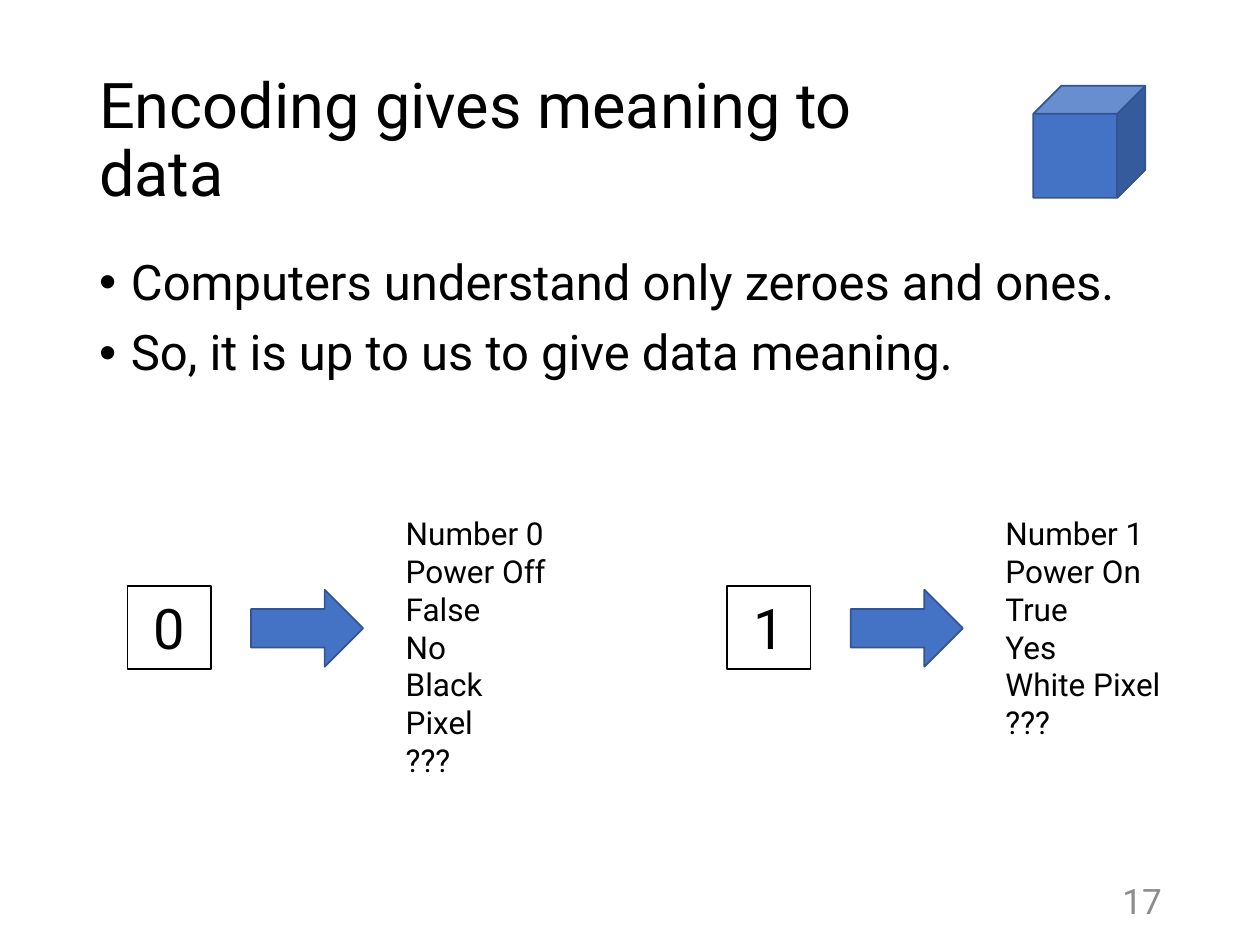
from lxml.etree import SubElement
from pptx import Presentation
from pptx.dml.color import RGBColor
from pptx.enum.shapes import MSO_SHAPE
from pptx.enum.text import MSO_ANCHOR, PP_ALIGN
from pptx.oxml.ns import qn
from pptx.util import Cm, Pt

FONT = "Roboto"
BLACK, WHITE, GRAY = "000000", "FFFFFF", "8C8C8C"
BLUE, DARK_BLUE = "4472C4", "325491"


def color(value):
    return RGBColor.from_string(value)


def write_lines(frame, lines, size, ink=BLACK, align=PP_ALIGN.LEFT, anchor=MSO_ANCHOR.TOP):
    frame.word_wrap = True
    frame.vertical_anchor = anchor
    frame.text = "\n".join(lines)
    for para in frame.paragraphs:
        para.alignment = align
        para.font.name = FONT
        para.font.size = Pt(size)
        para.font.color.rgb = color(ink)
    return frame.paragraphs


def add_text(page, left, top, width, height, lines, size, **style):
    box = page.shapes.add_textbox(Cm(left), Cm(top), Cm(width), Cm(height))
    return write_lines(box.text_frame, lines, size, **style)


def add_figure(page, kind, left, top, width, height, fill=BLUE, line=DARK_BLUE):
    figure = page.shapes.add_shape(kind, Cm(left), Cm(top), Cm(width), Cm(height))
    figure.shadow.inherit = False
    figure.fill.solid()
    figure.fill.fore_color.rgb = color(fill)
    figure.line.color.rgb = color(line)
    figure.line.width = Pt(1)
    return figure


def add_heading(page, left, top, width, height):
    for para in add_text(page, left, top, width, height, ["Encoding gives meaning to data"],
                         36, anchor=MSO_ANCHOR.MIDDLE):
        para.line_spacing = 0.9
    add_figure(page, MSO_SHAPE.CUBE, left + 19.08, top + 0.71, 2.26, 2.26)


def add_bullets(page, left, top, width, height, lines):
    for para in add_text(page, left, top, width, height, lines, 28):
        para.line_spacing = 0.9
        para.space_before = Pt(10)
        properties = para._p.get_or_add_pPr()
        properties.set("marL", str(Cm(0.64)))
        properties.set("indent", str(Cm(-0.64)))
        SubElement(properties, qn("a:buFont")).set("typeface", "Arial")
        SubElement(properties, qn("a:buChar")).set("char", "•")


def add_meanings(page, left, top, list_width, bit, meanings):
    square = add_figure(page, MSO_SHAPE.RECTANGLE, left, top + 1.57, 1.68, 1.68, WHITE, BLACK)
    write_lines(square.text_frame, [bit], 32, align=PP_ALIGN.CENTER, anchor=MSO_ANCHOR.MIDDLE)
    add_figure(page, MSO_SHAPE.RIGHT_ARROW, left + 2.49, top + 1.65, 2.26, 1.55)
    add_text(page, left + 5.36, top, list_width, 4.88, meanings, 18)


def add_page_number(page, left, top, width, height):
    add_text(page, left, top, width, height, ["17"], 20, ink=GRAY,
             align=PP_ALIGN.RIGHT, anchor=MSO_ANCHOR.MIDDLE)


def main():
    deck = Presentation()
    deck.slide_width, deck.slide_height = Cm(25.4), Cm(19.05)
    page = deck.slides.add_slide(deck.slide_layouts[6])
    add_heading(page, 1.75, 1.02, 17.91, 3.68)
    add_bullets(page, 1.75, 5.08, 21.9, 12.09, [
        "Computers understand only zeroes and ones.",
        "So, it is up to us to give data meaning.",
    ])
    columns = [
        (3.45, "0", ["Number 0", "Power Off", "False", "No", "Black Pixel", "???"]),
        (3.66, "1", ["Number 1", "Power On", "True", "Yes", "White Pixel", "???"]),
    ]
    for index, (list_width, bit, meanings) in enumerate(columns):
        add_meanings(page, 2.57 + index * 12.09, 10.24, list_width, bit, meanings)
    add_page_number(page, 21.97, 17.65, 1.7, 1.02)
    deck.save("out.pptx")


if __name__ == "__main__":
    main()
